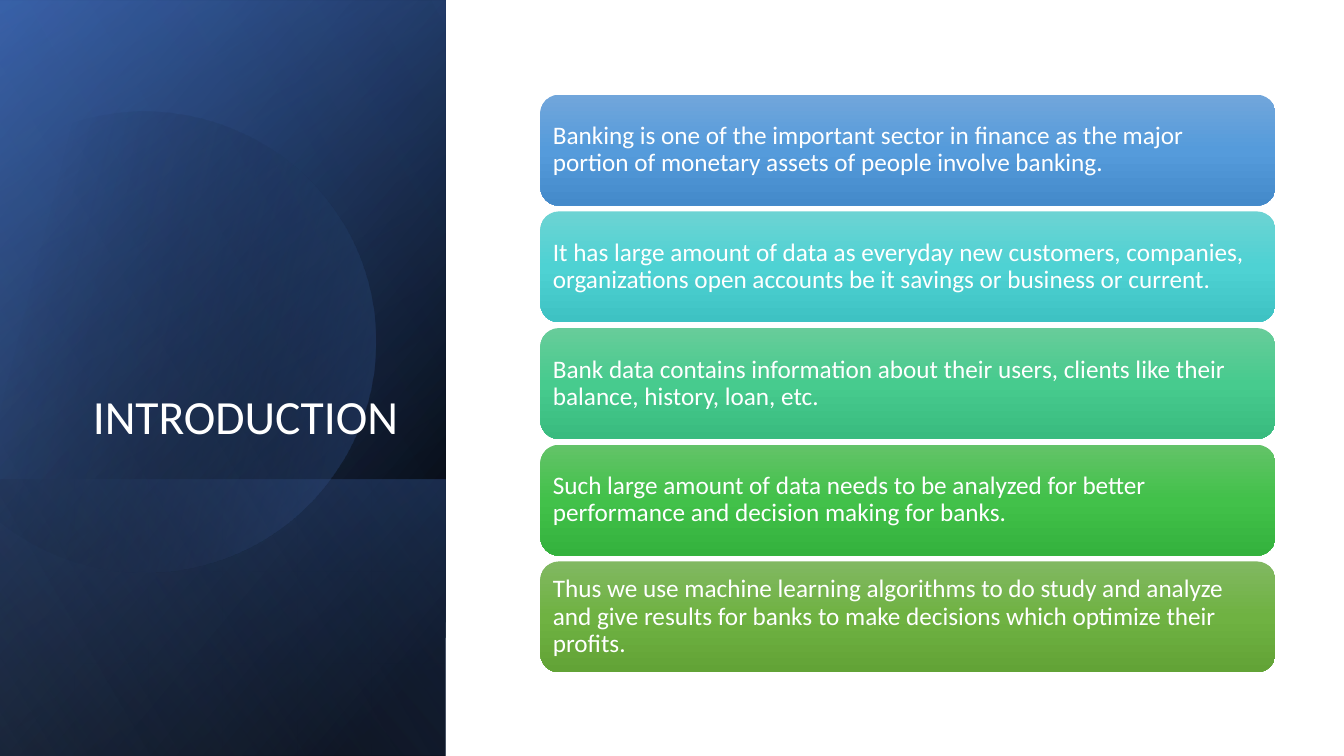
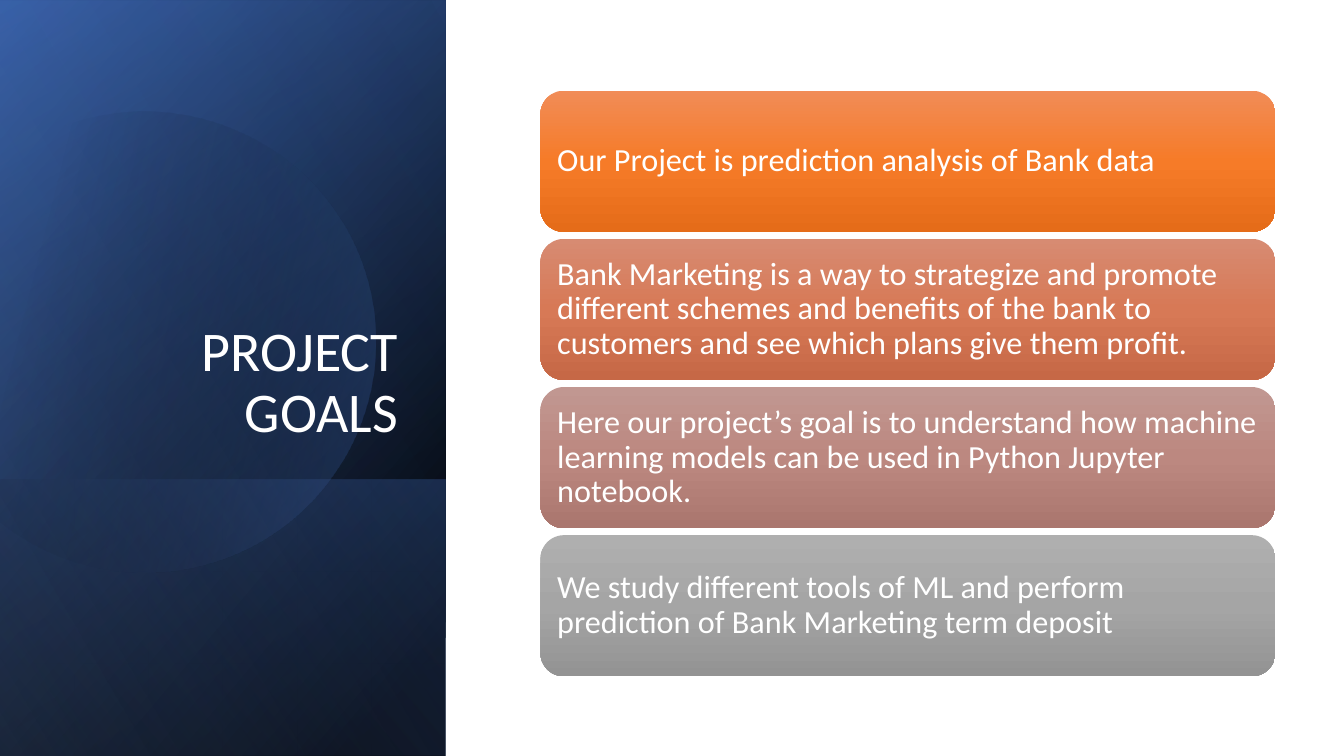
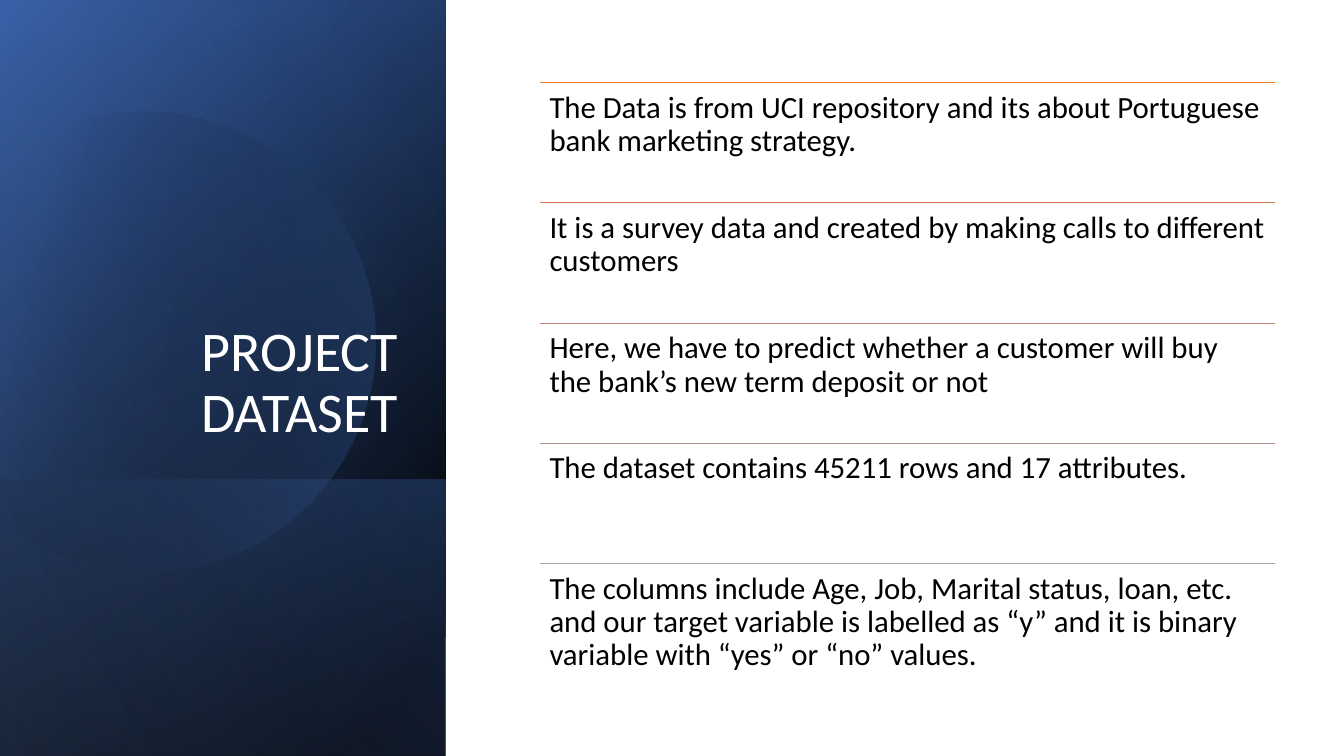
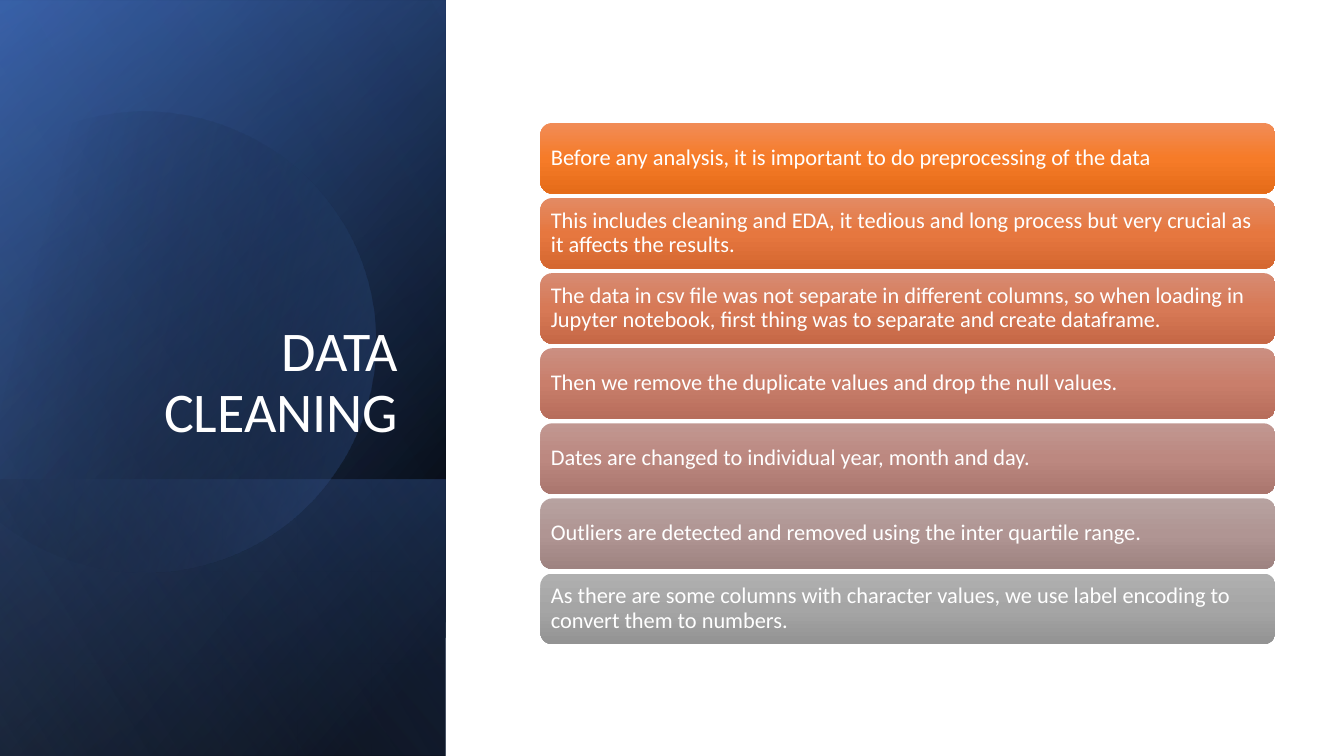
from math import cos, radians, sin, tan

from lxml import etree
from pptx import Presentation
from pptx.dml.color import RGBColor
from pptx.enum.shapes import MSO_CONNECTOR, MSO_SHAPE
from pptx.enum.text import MSO_ANCHOR, MSO_AUTO_SIZE, PP_ALIGN
from pptx.oxml.ns import qn
from pptx.util import Pt

PX = 9144  # EMU in one px, 100 px to the inch
RECTANGLE, ROUNDED = MSO_SHAPE.RECTANGLE, MSO_SHAPE.ROUNDED_RECTANGLE
STRAIGHT = MSO_CONNECTOR.STRAIGHT
TOP, MIDDLE, BOTTOM = MSO_ANCHOR.TOP, MSO_ANCHOR.MIDDLE, MSO_ANCHOR.BOTTOM
LEFT, RIGHT = PP_ALIGN.LEFT, PP_ALIGN.RIGHT
FONT = "Calibri"
WHITE, BLACK = "FFFFFF", "000000"
BLUE, DEEP_BLUE, PALE_BLUE = "4472C4", "2F5597", "8FAADC"

# Content column on the right
COLUMN_LEFT, COLUMN_WIDTH = 536, 729

# Panel layers: box, gradient angle, stops as (position, colour, opacity) in percent
PANEL_BACK = [
    ((-154, 154, 750, 442), 50, [(8, BLACK, 100), (100, DEEP_BLUE, 100)]),
    ((-154, 155, 750, 442), 30, [(0, BLACK, 0), (99, BLUE, 46)]),
    ((84, 392, 274, 442), 130, [(2, BLUE, 29), (100, BLACK, 30)]),
]
PANEL_FRONT = [
    ((-154, 154, 750, 442), 120, [(0, BLACK, 0), (99, PALE_BLUE, 11)]),
]

# Disc behind the title, cut off at the left edge; angles in degrees
DISC_X, DISC_Y, DISC_RADIUS, DISC_TURN = 143, 335, 229, -16
DISC_ANGLES = [-118, -90, 0, 90, 150]

# Card gradients: top, middle, bottom
BLUE_TO_GREEN = [
    ("71A6DB", "559BDB", "448ACA"),
    ("6CD3D3", "4ED2D3", "3EC2C3"),
    ("67CC9A", "47CB8E", "39BB7F"),
    ("63C368", "42C14A", "34B23D"),
    ("81B861", "6FB242", "62A336"),
]
ORANGE_TO_GREY = [
    ("F18C57", "F67B28", "E56C19"),
    ("E38A63", "E6773F", "D56730"),
    ("D78B72", "D77956", "C66846"),
    ("CB8F81", "C97E6B", "B76D5B"),
    ("C19791", "BC8880", "AA766E"),
    ("B7A2A0", "B09593", "9E8381"),
    ("AFAFAF", "A5A5A5", "939393"),
]
RULE_COLOURS = ["ED7D31", "D87A51", "C48170", "B4908B", "A5A5A5"]

# first and last are the tops of the first and last item
PAGES = [
    dict(title="INTRODUCTION", title_size=34, style="cards", colours=BLUE_TO_GREEN,
         first=94, last=557, height=110, inset=7, size=18, texts=[
             "Banking is one of the important sector in finance as the major portion of "
             "monetary assets of people involve banking.",
             "It has large amount of data as everyday new customers, companies, "
             "organizations open accounts be it savings or business or current.",
             "Bank data contains information about their users, clients like their "
             "balance, history, loan, etc.",
             "Such large amount of data needs to be analyzed for better performance and "
             "decision making for banks.",
             "Thus we use machine learning algorithms to do study and analyze and give "
             "results for banks to make decisions which optimize their profits.",
         ]),
    dict(title="PROJECT GOALS", title_size=40, style="cards", colours=ORANGE_TO_GREY[::2],
         first=90, last=531, height=140, inset=10, size=23, texts=[
             "Our Project is prediction analysis of Bank data",
             "Bank Marketing is a way to strategize and promote different schemes and "
             "benefits of the bank to customers and see which plans give them profit.",
             "Here our project’s goal is to understand how machine learning models can "
             "be used in Python Jupyter notebook.",
             "We study different tools of ML and perform prediction of Bank Marketing "
             "term deposit",
         ]),
    dict(title="PROJECT DATASET", title_size=40, style="rules", colours=RULE_COLOURS,
         first=82, last=559, height=119, inset=9, size=22, texts=[
             "The Data is from UCI repository and its about Portuguese bank marketing "
             "strategy.",
             "It is a survey data and created by making calls to different customers",
             "Here, we have to predict whether a customer will buy the bank’s new term "
             "deposit or not",
             "The dataset contains 45211 rows and 17 attributes.",
             "The columns include Age, Job, Marital status, loan, etc. and our target "
             "variable is labelled as “y” and it is binary variable with “yes” or “no” "
             "values.",
         ]),
    dict(title="DATA CLEANING", title_size=40, style="cards", colours=ORANGE_TO_GREY,
         first=122, last=569, height=70, inset=7, size=16, texts=[
             "Before any analysis, it is important to do preprocessing of the data",
             "This includes cleaning and EDA, it tedious and long process but very "
             "crucial as it affects the results.",
             "The data in csv file was not separate in different columns, so when "
             "loading in Jupyter notebook, first thing was to separate and create "
             "dataframe.",
             "Then we remove the duplicate values and drop the null values.",
             "Dates are changed to individual year, month and day.",
             "Outliers are detected and removed using the inter quartile range.",
             "As there are some columns with character values, we use label encoding to "
             "convert them to numbers.",
         ]),
]


def paint(shape, angle, stops):
    """Fill a shape with a linear gradient, without outline or shadow."""
    shape.shadow.inherit = False
    shape.line.fill.background()
    shape.fill.gradient()
    gradient = shape._element.spPr.find(qn("a:gradFill"))
    gradient.find(qn("a:lin")).set("ang", str(angle * 60000))
    stop_list = gradient.find(qn("a:gsLst"))
    for old_stop in list(stop_list):
        stop_list.remove(old_stop)
    for position, colour, opacity in stops:
        stop = etree.SubElement(stop_list, qn("a:gs"), pos=str(position * 1000))
        tint = etree.SubElement(stop, qn("a:srgbClr"), val=colour)
        if opacity < 100:
            etree.SubElement(tint, qn("a:alpha"), val=str(opacity * 1000))


def write(shape, text, size, colour, insets, anchor, align=LEFT):
    """Put one paragraph into a shape; insets are (sides, top and bottom)."""
    frame = shape.text_frame
    frame.text = text
    frame.word_wrap = True
    frame.auto_size = MSO_AUTO_SIZE.NONE
    frame.vertical_anchor = anchor
    frame.margin_left = frame.margin_right = insets[0] * PX
    frame.margin_top = frame.margin_bottom = insets[1] * PX
    para = frame.paragraphs[0]
    para.alignment = align
    para.line_spacing = 0.9
    para.font.name = FONT
    para.font.size = Pt(size)
    para.font.color.rgb = RGBColor.from_string(colour)


deck = Presentation()
deck.slide_width, deck.slide_height = 1333 * PX, 750 * PX
title_only = deck.slide_layouts[5]

# Disc corners and the two curve handles of each arc between them
turns = [radians(angle) for angle in DISC_ANGLES]
corners = [(round(DISC_X + DISC_RADIUS * cos(turn)),
            round(DISC_Y + DISC_RADIUS * sin(turn))) for turn in turns]
disc_left, disc_top = (min(values) for values in zip(*corners))
arcs = []
for start, end in zip(turns, turns[1:]):
    reach = 4 / 3 * tan((end - start) / 4)
    arcs.append([
        (round(DISC_X - disc_left + DISC_RADIUS * (cos(turn) - pull * sin(turn))),
         round(DISC_Y - disc_top + DISC_RADIUS * (sin(turn) + pull * cos(turn))))
        for turn, pull in ((start, reach), (end, -reach))])

for content in PAGES:
    page = deck.slides.add_slide(title_only)
    shapes = page.shapes
    title = shapes.title

    # Blue panel with the disc under its front layer
    for layers in (PANEL_BACK, PANEL_FRONT):
        for box, angle, stops in layers:
            layer = shapes.add_shape(RECTANGLE, *(length * PX for length in box))
            layer.rotation = 90
            layer._element.spPr.xfrm.set("flipH", "1")
            paint(layer, angle, stops)
        if layers is PANEL_BACK:
            outline = shapes.build_freeform(*corners[0], scale=PX)
            outline.add_line_segments(corners[1:], close=True)
            disc = outline.convert_to_shape()
            disc.rotation = DISC_TURN
            paint(disc, 30, [(29, BLACK, 0), (100, BLUE, 43)])
            # Bend the straight segments into arcs
            segments = list(disc._element.spPr.iter(qn("a:lnTo")))
            for segment, handles in zip(segments, arcs):
                segment.tag = qn("a:cubicBezTo")
                for place, (x, y) in enumerate(handles):
                    handle = etree.Element(qn("a:pt"), x=str(x), y=str(y))
                    segment.insert(place, handle)

    # Title, brought in front of the panel
    shapes._spTree.append(title._element)
    title.left, title.top, title.width, title.height = 64 * PX, 184 * PX, 341 * PX, 262 * PX
    write(title, content["title"], content["title_size"], WHITE, (10, 5), BOTTOM, RIGHT)

    # Evenly spaced cards or ruled rows
    step = (content["last"] - content["first"]) / (len(content["texts"]) - 1)
    insets = content["inset"], content["inset"]
    for index, (text, colours) in enumerate(zip(content["texts"], content["colours"])):
        top = round((content["first"] + index * step) * PX)
        box = COLUMN_LEFT * PX, top, COLUMN_WIDTH * PX, content["height"] * PX
        if content["style"] == "cards":
            card = shapes.add_shape(ROUNDED, *box)
            paint(card, 90, [(0, colours[0], 100), (50, colours[1], 100),
                             (100, colours[2], 100)])
            write(card, text, content["size"], WHITE, insets, MIDDLE)
        else:
            rule = shapes.add_connector(STRAIGHT, box[0], top, box[0] + box[2], top)
            rule.line.color.rgb = RGBColor.from_string(colours)
            rule.line.width = Pt(0.5)
            etree.SubElement(rule._element.spPr, qn("a:effectLst"))
            row = shapes.add_textbox(*box)
            write(row, text, content["size"], BLACK, insets, TOP)

deck.save("out.pptx")
